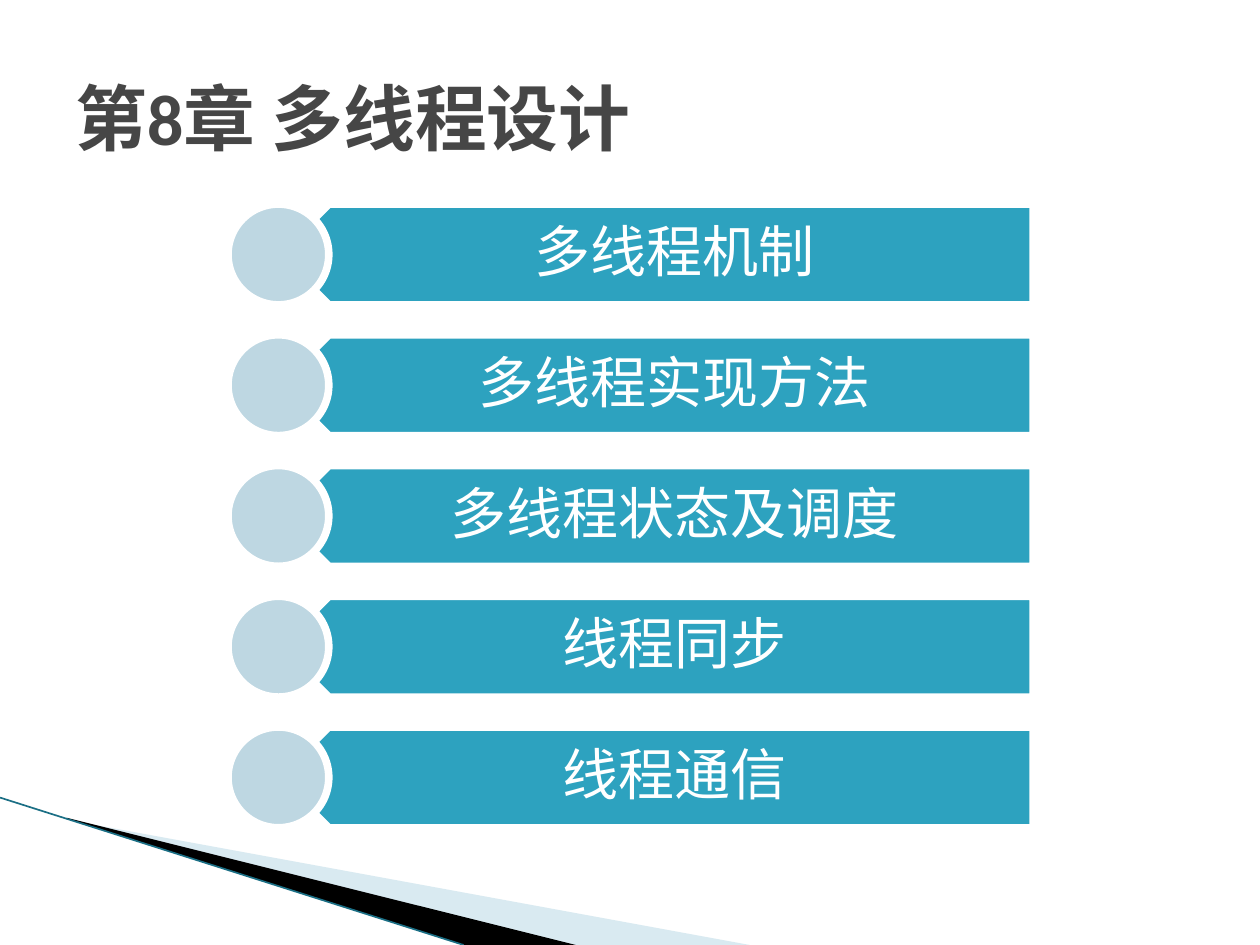
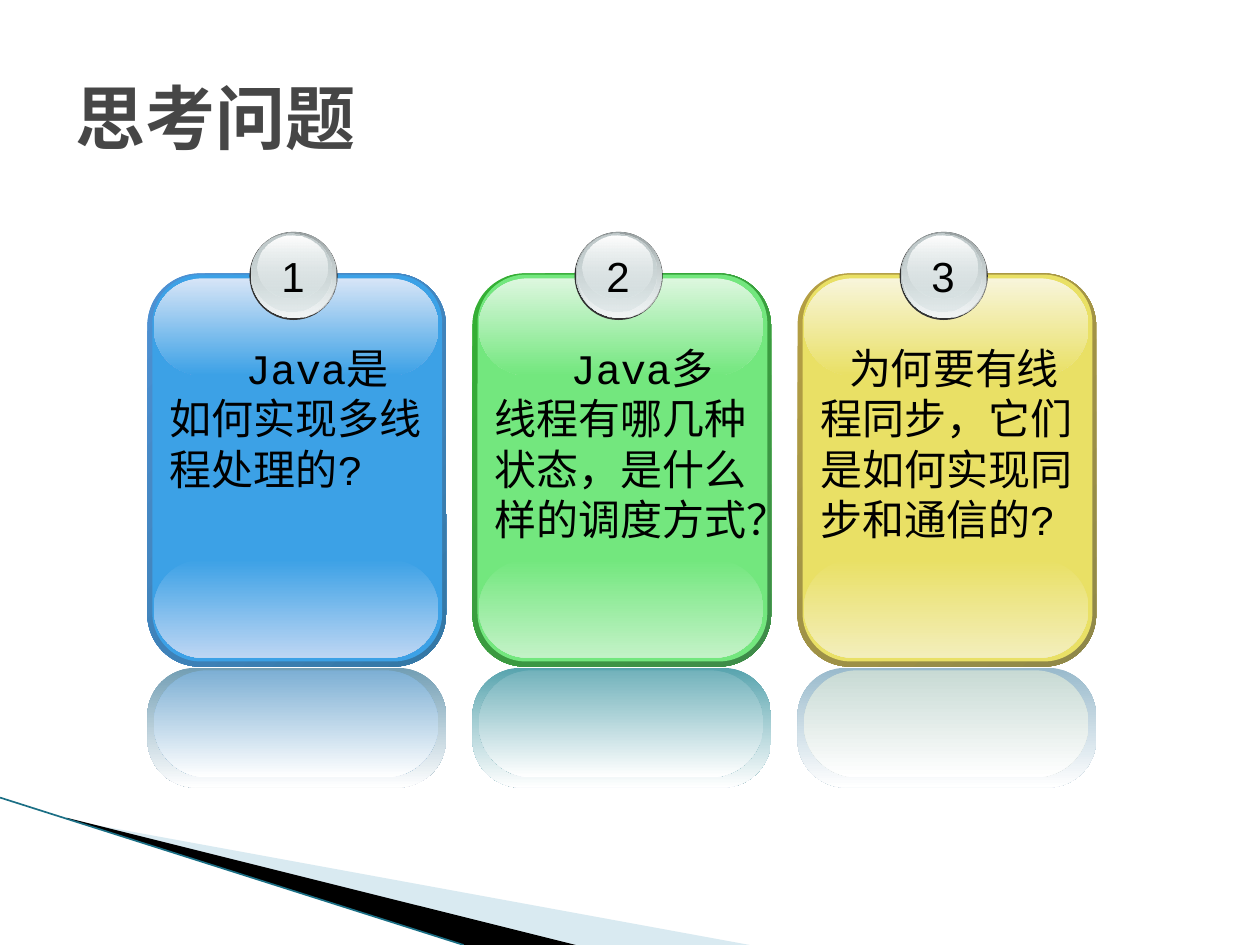
import pptx
import pptx.dml.color
import pptx.enum.shapes
import pptx.enum.text
import pptx.oxml.ns
import pptx.util
from lxml import etree

Inches = pptx.util.Inches
Pt = pptx.util.Pt
rgb = pptx.dml.color.RGBColor.from_string
PRESET = pptx.enum.shapes.MSO_SHAPE
ALIGN = pptx.enum.text.PP_ALIGN
ANCHOR = pptx.enum.text.MSO_ANCHOR
qn = pptx.oxml.ns.qn

TITLE_COLOUR = "464646"
SWOOSH_LINE = "1B6F85"
BAR, DISC, WHITE, BLACK = "2DA2BF", "BED7E2", "FFFFFF", "000000"


def paint(shape, colours, opacity=(100, 100), angle=90, outline=None):
    """Fill with one colour, or with a two-stop gradient running clockwise from the x axis."""
    shape.shadow.inherit = False
    if len(colours) == 1:
        shape.fill.solid()
        shape.fill.fore_color.rgb = rgb(colours[0])
    else:
        shape.fill.gradient()
        shape.fill.gradient_angle = 360 - angle
        for stop, colour in zip(shape.fill.gradient_stops, colours):
            stop.color.rgb = rgb(colour)
    for node, percent in zip(list(shape._element.spPr.iter(qn("a:srgbClr"))), opacity):
        if percent < 100:
            etree.SubElement(node, qn("a:alpha"), val=str(percent * 1000))
    if outline:
        shape.line.color.rgb = rgb(outline)
        shape.line.width = Pt(4.33)
    else:
        shape.line.fill.background()


def write(slide, box, text, font, size, colour=BLACK, bold=False, align=ALIGN.LEFT,
          anchor=ANCHOR.TOP, wrap=True, indent=0):
    frame = slide.shapes.add_textbox(*map(Inches, box)).text_frame
    frame.word_wrap = wrap
    frame.vertical_anchor = anchor
    paragraph = frame.paragraphs[0]
    paragraph.alignment = align
    if indent:
        paragraph._p.get_or_add_pPr().set("indent", str(Inches(indent)))
    run = paragraph.add_run()
    run.text = text
    run.font.name = font
    run.font.size = Pt(size)
    run.font.bold = bold
    run.font.color.rgb = rgb(colour)
    return frame


deck = pptx.Presentation()
deck.slide_width, deck.slide_height = Inches(10), Inches(7.5)

# Shared corner swoosh and title; swoosh points are in hundredths of an inch
swoosh_bands = [
    ("A0CBDC", 40, [(55, 651), (595, 750), (456, 750), (55, 650)]),
    (BLACK, 100, [(53, 649), (457, 750), (368, 750), (54, 650)]),
]
slides = []
for title, title_size in [("第8章 多线程设计", 41), ("思考问题", 40)]:
    slide = deck.slides.add_slide(deck.slide_layouts[6])
    for colour, opacity, points in swoosh_bands:
        outline = slide.shapes.build_freeform(*points[0], scale=Inches(0.01))
        outline.add_line_segments(points[1:])
        paint(outline.convert_to_shape(), [colour], [opacity])
    edge = slide.shapes.add_connector(pptx.enum.shapes.MSO_CONNECTOR.STRAIGHT,
                                      0, Inches(6.33), Inches(3.68), Inches(7.5))
    edge.line.color.rgb = rgb(SWOOSH_LINE)
    edge.line.width = Pt(0.95)
    etree.SubElement(edge._element.spPr, qn("a:effectLst"))
    write(slide, (0.5, 0.3, 9, 1.25), title, "Calibri", title_size, TITLE_COLOUR,
          bold=True, anchor=ANCHOR.MIDDLE)
    slides.append(slide)
chapter, questions = slides

# Chapter contents: one bar and disc per row
topics = ["多线程机制", "多线程实现方法", "多线程状态及调度", "线程同步", "线程通信"]
first_row, last_row, row_height = 1.62, 5.77, 0.8
row_pitch = (last_row - first_row) / (len(topics) - 1)
for row, topic in enumerate(topics):
    top = first_row + row * row_pitch
    bar = chapter.shapes.add_shape(
        PRESET.PENTAGON, *map(Inches, (2.21, top, 5.99, row_height)))
    bar.rotation = 180
    paint(bar, [BAR], outline=WHITE)
    label = write(chapter, (2.41, top, 5.79, row_height), topic, "Calibri", 32, WHITE,
                  align=ALIGN.CENTER, anchor=ANCHOR.MIDDLE)
    label.margin_left, label.margin_right = Inches(0.35), Inches(0.25)
    label.margin_top = label.margin_bottom = Inches(0.13)
    label.paragraphs[0].line_spacing = 0.9
    disc = chapter.shapes.add_shape(
        PRESET.OVAL, *map(Inches, (1.81, top, row_height, row_height)))
    paint(disc, [DISC], outline=WHITE)

# Question cards: text, first-line indent, rim, body, lower and upper gloss, reflections
cards = [
    ("Java是如何实现多线程处理的?", 0.6, ["4E91D4", "3477A4"], "3CA1E6",
     "BDD6F3", "D7E5F7", "729EB4", "7DAFD4"),
    ("Java多线程有哪几种状态，是什么样的调度方式？", 0.6, ["34B034", "3F8B4A"], "73E77E",
     "C3F2C7", "DDF7DF", "58A4AE", "72B2BB"),
    ("为何要有线程同步，它们是如何实现同步和通信的?", 0.23, ["B59F43", "8F8849"], "E9E065",
     "F3EEBB", "F8F5DB", "99BACC", "C8DAD4"),
]
# Badge layers: offset from card, top, width, height, colours, opacities
badge_layers = [
    (0.81, 1.84, 0.7, 0.7, ["333333"], (100,)),
    (0.82, 1.84, 0.68, 0.68, ["99A1A2", "D6E1E2"], (100, 100)),
    (0.83, 1.85, 0.67, 0.67, ["D6E1E2", "F2F5F5"], (0, 100)),
    (0.83, 1.85, 0.63, 0.62, ["C1CBCC", "D6E1E2"], (100, 48)),
    (0.87, 1.87, 0.56, 0.5, ["FFFFFF", "D6E1E2"], (100, 38)),
]
card_left, card_pitch = 1.17, 2.58
for column, card in enumerate(cards):
    question, indent, rim, body, low_gloss, high_gloss, mirror_rim, mirror_body = card
    left = card_left + column * card_pitch
    panels = [
        (0, 2.17, 2.37, 3.12, 0.175, rim, 45),
        (0.04, 2.18, 2.3, 3.07, 0.167, [body], 0),
        (0.05, 4.44, 2.26, 0.78, 0.5, [body, low_gloss], 90),
        (0.05, 2.21, 2.26, 0.77, 0.5, [high_gloss, body], 90),
        (0, 5.3, 2.37, 0.95, 0.404, [mirror_rim, WHITE], 90),
        (0.05, 5.32, 2.26, 0.85, 0.5, [mirror_body, WHITE], 90),
    ]
    for offset, top, width, height, rounding, colours, angle in panels:
        panel = questions.shapes.add_shape(
            PRESET.ROUNDED_RECTANGLE, *map(Inches, (left + offset, top, width, height)))
        panel.adjustments[0] = rounding
        paint(panel, colours, angle=angle)
    for offset, top, width, height, colours, opacity in badge_layers:
        badge = questions.shapes.add_shape(
            PRESET.OVAL, *map(Inches, (left + offset, top, width, height)))
        paint(badge, colours, opacity)
    write(questions, (left + 0.96, 1.94, 0.39, 0.5), str(column + 1), "Arial", 24,
          align=ALIGN.CENTER, wrap=False)
    write(questions, (left + 0.08, 2.67, 2.25, 1.26), question, "Courier New", 24,
          indent=indent)

deck.save("out.pptx")
